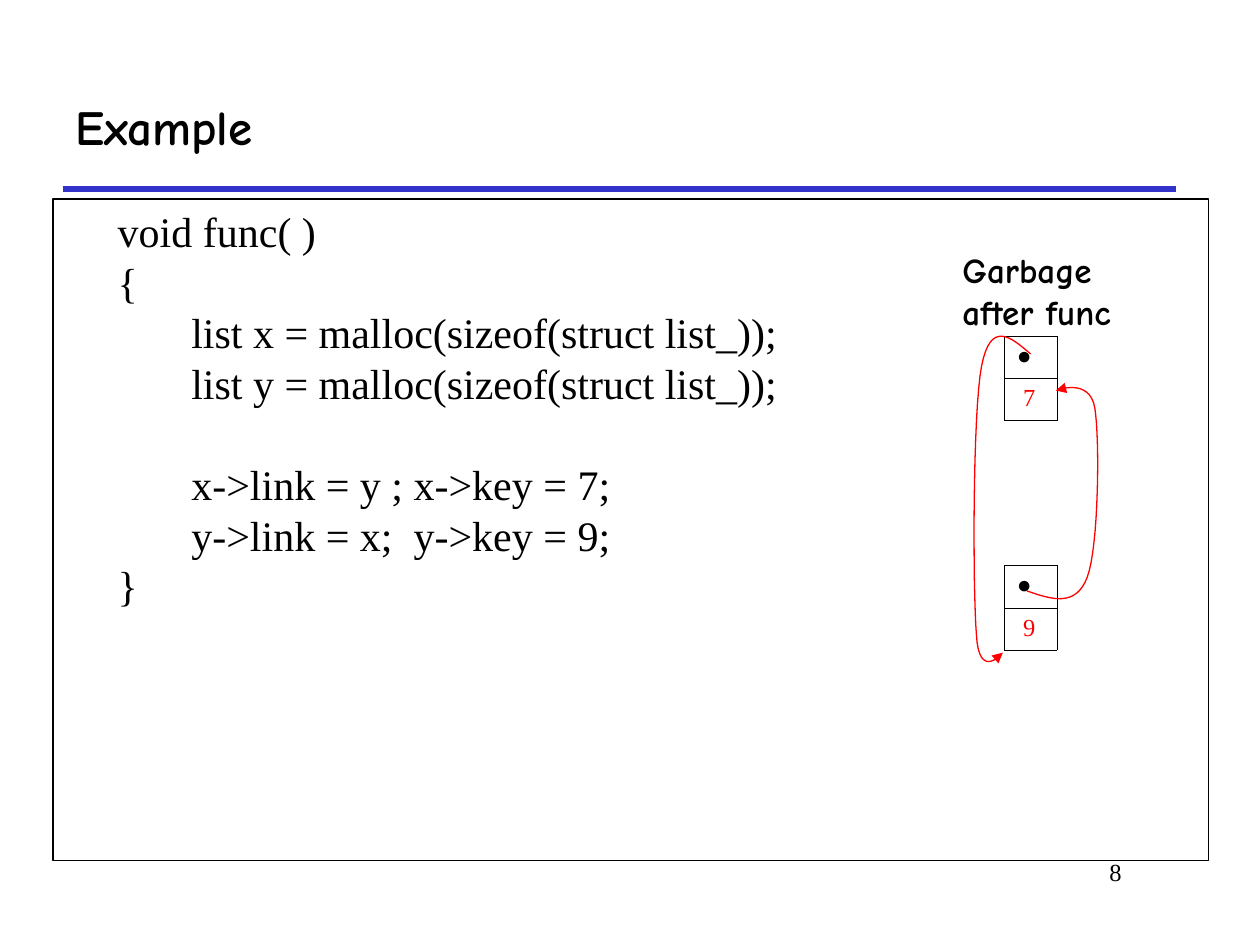
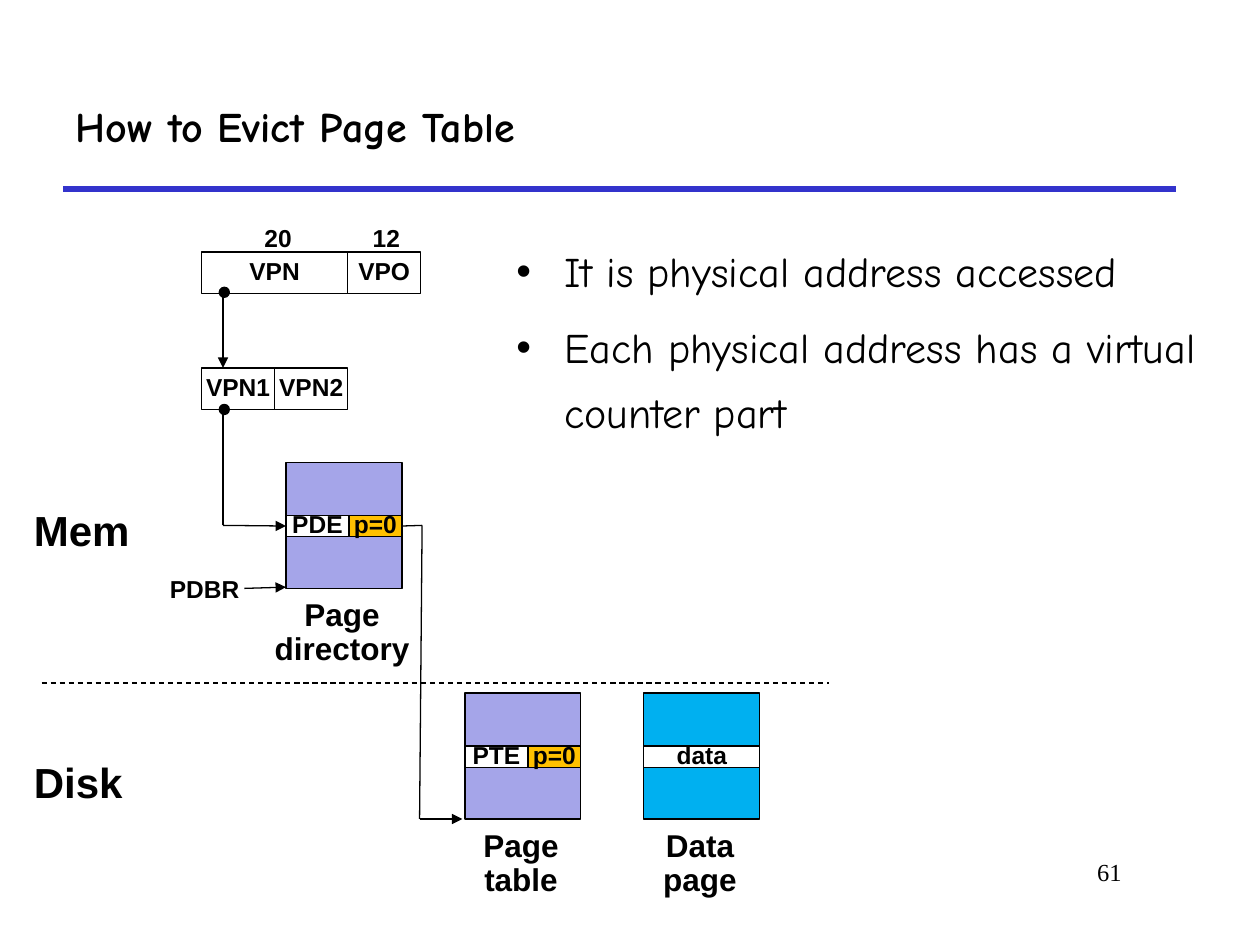
from lxml import etree
from pptx import Presentation
from pptx.dml.color import RGBColor
from pptx.enum.dml import MSO_LINE
from pptx.enum.shapes import MSO_CONNECTOR, MSO_SHAPE
from pptx.enum.text import MSO_ANCHOR as Anchor, MSO_AUTO_SIZE as Fit, PP_ALIGN as Align
from pptx.oxml.ns import qn
from pptx.util import Inches, Pt

BLACK = RGBColor(0, 0, 0)
WHITE = RGBColor(255, 255, 255)
RED = RGBColor(255, 0, 0)
RULE = RGBColor(0x33, 0x33, 0xCC)
LILAC = RGBColor(0xA5, 0xA5, 0xE9)
AMBER = RGBColor(0xFF, 0xC0, 0)
SKY = RGBColor(0, 0xB0, 0xF0)
COMIC, SERIF, SANS = "Comic Neue", "Times New Roman", "Arial"
THIN = 0.75

CODE = """     void func( )
     {
\tlist x = malloc(sizeof(struct list_));
\tlist y = malloc(sizeof(struct list_));

\tx->link = y ; x->key = 7;
\ty->link = x;  y->key = 9;
     }"""


def sub(parent, tag, **attrs):
    return etree.SubElement(parent, qn(tag), attrs)


def style(par, text, size, font, color=BLACK, bold=False, align=Align.LEFT):
    par.alignment = align
    run = par.add_run()
    run.text = text
    run.font.size, run.font.name, run.font.bold = Pt(size), font, bold
    run.font.color.rgb = color


def pars(frame, count):
    """Yield the given number of paragraphs, the first one already there."""
    yield frame.paragraphs[0]
    for _ in range(count - 1):
        yield frame.add_paragraph()


def stroke(line, color=BLACK, width=THIN, arrow=False):
    line.color.rgb = color
    line.width = Pt(width)
    if arrow:
        sub(line._get_or_add_ln(), "a:tailEnd", type="triangle")


def area(slide, x, y, w, h, wrap=True):
    box = slide.shapes.add_textbox(Inches(x), Inches(y), Inches(w), Inches(h))
    box.text_frame.word_wrap = wrap
    return box


def label(slide, text, x, y, w, h, size=14, align=Align.LEFT, wrap=False):
    frame = area(slide, x, y, w, h, wrap).text_frame
    style(frame.paragraphs[0], text, size, SANS, bold=True, align=align)
    frame.paragraphs[0].line_spacing = 0.9


def block(slide, x, y, w, h, fill=WHITE, text="", kind=MSO_SHAPE.RECTANGLE):
    shape = slide.shapes.add_shape(kind, Inches(x), Inches(y), Inches(w), Inches(h))
    shape.shadow.inherit = False
    shape.fill.solid()
    shape.fill.fore_color.rgb = fill
    stroke(shape.line)
    if text:
        frame = shape.text_frame
        frame.word_wrap, frame.vertical_anchor = False, Anchor.MIDDLE
        style(frame.paragraphs[0], text, 14, SANS, bold=True, align=Align.CENTER)
        frame.paragraphs[0].line_spacing = 0.9
    return shape


def link(slide, x1, y1, x2, y2, color=BLACK, width=THIN, arrow=False):
    line = slide.shapes.add_connector(
        MSO_CONNECTOR.STRAIGHT, Inches(x1), Inches(y1), Inches(x2), Inches(y2))
    stroke(line.line, color, width, arrow)
    sub(line._element.spPr, "a:effectLst")
    return line


def start(deck, title, size, number):
    """Add a slide with its title, rule and page number."""
    slide = deck.slides.add_slide(deck.slide_layouts[5])
    link(slide, 0.5, 1.5, 9.33, 1.5, RULE, 3)
    head = slide.shapes.title
    head.left, head.top = Inches(0.5), Inches(0.5)
    head.width, head.height = Inches(8.83), Inches(1)
    frame = head.text_frame
    frame.auto_size, frame.vertical_anchor = Fit.NONE, Anchor.MIDDLE
    style(frame.paragraphs[0], title, size, COMIC, bold=True)
    foot = area(slide, 7.58, 6.75, 1.42, 0.5).text_frame
    style(foot.paragraphs[0], str(number), 14, SERIF, align=Align.RIGHT)
    return slide


def listing(slide, x, y, w, h):
    box = area(slide, x, y, w, h)
    stroke(box.line)
    pitch = Pt(28.9)
    lines = CODE.split("\n")
    gaps = [i > 0 and not lines[i - 1] for i in range(len(lines))]
    shown = [(text, gap) for text, gap in zip(lines, gaps) if text]
    for par, (text, gap) in zip(pars(box.text_frame, len(shown)), shown):
        tabs = sub(par._p.get_or_add_pPr(), "a:tabLst")
        sub(tabs, "a:tab", pos=str(Inches(1)), algn="l")
        par.line_spacing = pitch
        if gap:
            par.space_before = pitch
        style(par, text, 24, SERIF)


def border(cell):
    props = cell._tc.get_or_add_tcPr()
    for n, side in enumerate(("a:lnL", "a:lnR", "a:lnT", "a:lnB")):
        line = etree.Element(qn(side), w=str(Pt(0.45)))
        sub(sub(line, "a:solidFill"), "a:srgbClr", val=str(BLACK))
        props.insert(n, line)


def node(slide, key, x, y):
    """Draw a list cell: its link above its key."""
    table = slide.shapes.add_table(
        2, 1, Inches(x), Inches(y), Inches(0.42), Inches(0.67)).table
    table.first_row = table.horz_banding = False
    for row, (text, color, pad) in enumerate((("●", BLACK, 0.1), (key, RED, 0.15))):
        cell = table.cell(row, 0)
        cell.fill.background()
        cell.margin_left = Inches(pad)
        border(cell)
        style(cell.text_frame.paragraphs[0], text, 14, SERIF, color)


def curve(slide, x, y, first, *bends):
    """Draw a red arrow along cubic bends, measured from x, y."""
    points, a = [first], first
    for b, c, d in bends:
        for t in (i / 16 for i in range(1, 17)):
            s = 1 - t
            points.append(tuple(
                s**3 * a[k] + 3 * s * s * t * b[k] + 3 * s * t * t * c[k] + t**3 * d[k]
                for k in (0, 1)))
        a = d
    spots = [(Inches(x + px), Inches(y + py)) for px, py in points]
    path = slide.shapes.build_freeform(*spots[0])
    path.add_line_segments(spots[1:], close=False)
    shape = path.convert_to_shape()
    shape.shadow.inherit = False
    shape.fill.background()
    stroke(shape.line, RED, arrow=True)


def cycle(slide, x, y):
    """Draw the two list cells that point at each other."""
    node(slide, "7", x + 0.43, y + 0.75)
    node(slide, "9", x + 0.43, y + 2.57)
    curve(slide, x, y, (0.61, 2.77),
          ((0.81, 2.84), (1, 2.9), (1.09, 2.66)),
          ((1.18, 2.42), (1.19, 1.57), (1.15, 1.32)),
          ((1.11, 1.07), (0.84, 1.18), (0.84, 1.18)))
    curve(slide, x, y, (0.64, 0.89),
          ((0.48, 0.75), (0.32, 0.62), (0.25, 0.99)),
          ((0.18, 1.36), (0.18, 2.74), (0.21, 3.12)),
          ((0.23, 3.49), (0.42, 3.26), (0.42, 3.26)))
    lines = ("Garbage", "after func")
    frame = area(slide, x, y, 1.38, 0.77, False).text_frame
    for par, text in zip(pars(frame, 2), lines):
        style(par, text, 20, COMIC, bold=True)


def points(slide, x, y, w, h):
    lines = ("It is physical address accessed",
             "Each physical address has a virtual counter part")
    frame = area(slide, x, y, w, h).text_frame
    for n, (par, text) in enumerate(zip(pars(frame, 2), lines)):
        props = par._p.get_or_add_pPr()
        props.set("marL", str(Inches(0.38)))
        props.set("indent", str(-Inches(0.38)))
        sub(props, "a:buFont", typeface=SANS)
        sub(props, "a:buChar", char="•")
        par.line_spacing = 1.3
        if n:
            par.space_before = Pt(6)
        style(par, text, 24, COMIC)


def page(slide, x, y, name, fill, *fields):
    """Draw a page with a row of fields and its name; return the fields."""
    block(slide, x, y, 0.92, 1, fill)
    row = []
    left = x
    for text, width, color in fields:
        row.append(block(slide, left, y + 0.42, width, 0.17, color, text))
        left += width
    label(slide, name, x - 0.23, y + 1.04, 1.35, 0.64, 18, Align.CENTER, True)
    return row


def address(slide, x, y):
    """Draw the split of an address, down to its two table numbers."""
    half = 0.58
    for text, left, top, width in (
            ("VPN", 0, 0, 2 * half), ("VPO", 2 * half, 0, half),
            ("VPN1", 0, 0.92, half), ("VPN2", half, 0.92, half)):
        block(slide, x + left, y + top, width, 0.33, text=text)
    label(slide, "20", x + 0.4, y - 0.25, 0.42, 0.31)
    label(slide, "12", x + 1.26, y - 0.25, 0.42, 0.31)
    link(slide, x + 0.17, y + 0.33, x + 0.17, y + 0.92, arrow=True)
    for top in (0.28, 1.21):
        block(slide, x + 0.14, y + top, 0.08, 0.08, BLACK, kind=MSO_SHAPE.OVAL)


def tables(slide, x, y):
    """Draw memory and disk, parted by a dashed line."""
    present = ("p=0", 0.42, AMBER)
    pde, flag = page(slide, x + 2.1, y, "Page directory", LILAC,
                     ("PDE", 0.5, WHITE), present)
    page(slide, x + 3.52, y + 1.83, "Page table", LILAC,
         ("PTE", 0.5, WHITE), present)
    page(slide, x + 4.94, y + 1.83, "Data page", SKY, ("data", 0.92, WHITE))
    for text, top in (("Mem", 0.33), ("Disk", 2.33)):
        label(slide, text, x, y + top, 1, 0.46, 24)
    label(slide, "PDBR", x + 1.08, y + 0.86, 0.8, 0.31)
    mid, turn, low = y + 0.5, x + 3.18, y + 2.83
    link(slide, x + 1.6, y - 0.42, x + 1.6, mid)
    link(slide, x + 1.6, mid, x + 2.1, mid, arrow=True).end_connect(pde, 1)
    link(slide, x + 1.77, y + 1, x + 2.1, y + 0.99, arrow=True)
    link(slide, x + 3.02, mid, turn, mid).begin_connect(flag, 3)
    link(slide, turn, mid, turn - 0.02, low)
    link(slide, turn - 0.02, low, x + 3.5, low, arrow=True)
    split = link(slide, x + 0.16, y + 1.75, x + 6.41, y + 1.75)
    split.line.dash_style = MSO_LINE.DASH


def main():
    deck = Presentation()
    deck.slide_width, deck.slide_height = Inches(10), Inches(7.5)
    slide = start(deck, "Example", 28, 8)
    listing(slide, 0.42, 1.58, 9.17, 5.25)
    cycle(slide, 7.54, 1.92)
    slide = start(deck, "How to Evict Page Table", 24, 61)
    points(slide, 4, 1.78, 5.63, 2.06)
    address(slide, 1.6, 2)
    tables(slide, 0.17, 3.67)
    deck.save("out.pptx")


if __name__ == "__main__":
    main()
